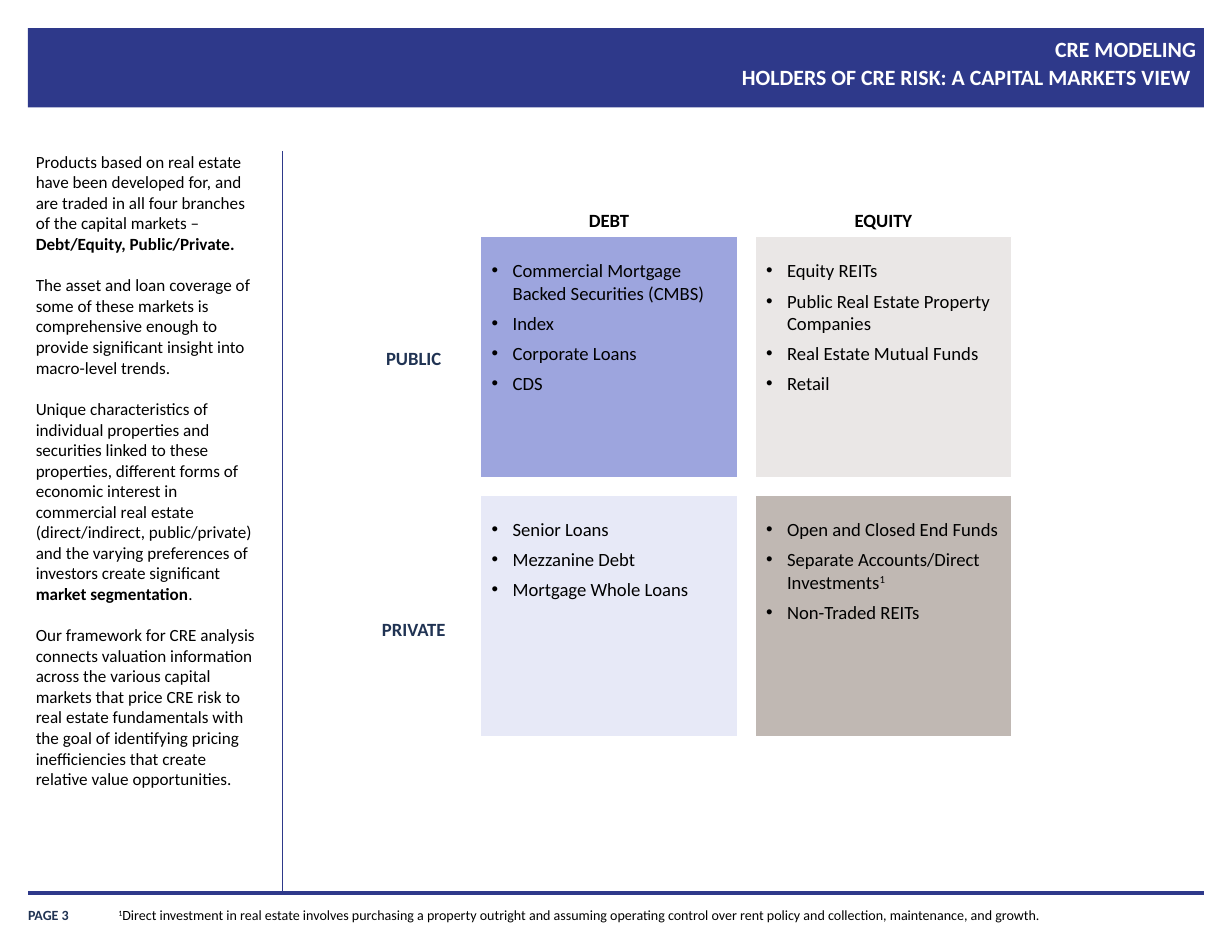
from lxml import etree
from pptx import Presentation
from pptx.dml.color import RGBColor
from pptx.enum import shapes, text
from pptx.oxml.ns import qn
from pptx.util import Pt

C = {"navy": "2E398A", "ink": "203353", "black": "000000", "white": "FFFFFF",
     "blue": "9DA5DE", "pale": "E7E9F7", "sand": "EAE7E6", "taupe": "C0B8B3"}
AL = text.PP_ALIGN
INSET = (7.2, 3.6, 7.2, 3.6)

prs = Presentation()
prs.slide_width, prs.slide_height = Pt(792), Pt(612)
s = prs.slides.add_slide(prs.slide_layouts[6])


def add_text(box, paras, size=12, color="black", bold=False, inset=INSET,
             wrap=True, anchor=text.MSO_ANCHOR.TOP, bullet=False, **fmt):
    """Each paragraph is a list of (text, style); style is "", "bold" or "super"."""
    tf = s.shapes.add_textbox(*map(Pt, box)).text_frame
    tf.word_wrap, tf.vertical_anchor = wrap, anchor
    for side, value in zip(("left", "top", "right", "bottom"), inset):
        setattr(tf, "margin_" + side, Pt(value))
    for i, runs in enumerate(paras):
        p = tf.paragraphs[0] if i == 0 else tf.add_paragraph()
        for name, value in fmt.items():
            setattr(p, name, value)
        if bullet:
            pPr = p._p.get_or_add_pPr()
            pPr.set("marL", str(Pt(13.5)))
            pPr.set("indent", str(Pt(-13.5)))
            etree.SubElement(pPr, qn("a:buFont")).set("typeface", "Arial")
            etree.SubElement(pPr, qn("a:buChar")).set("char", "•")
        for content, style in runs:
            for n, line in enumerate(content.split("\n")):
                if n:
                    p.add_line_break()
                r = p.add_run()
                r.text = line
                font = {"name": "Calibri", "size": Pt(size), "bold": bold or style == "bold"}
                for name, value in font.items():
                    setattr(r.font, name, value)
                r.font.color.rgb = RGBColor.from_string(C[color])
                if style == "super":
                    r._r.get_or_add_rPr().set("baseline", "30000")


def add_rect(box, fill, line=None):
    sp = s.shapes.add_shape(shapes.MSO_SHAPE.RECTANGLE, *map(Pt, box))
    sp.shadow.inherit = False
    sp.fill.solid()
    sp.fill.fore_color.rgb = RGBColor.from_string(C[fill])
    if line:
        sp.line.color.rgb = RGBColor.from_string(C[line])
        sp.line.width = Pt(1)
    else:
        sp.line.fill.background()


# Header band, footer rule and sidebar divider
add_rect((18, 18, 756, 51), "navy")
for ends, width in (((18, 574, 774, 574), 2.25), ((181.5, 97, 181.5, 574), 0.5)):
    rule = s.shapes.add_connector(shapes.MSO_CONNECTOR.STRAIGHT, *map(Pt, ends))
    rule.line.color.rgb = RGBColor.from_string(C["navy"])
    rule.line.width = Pt(width)
    etree.SubElement(rule._element.spPr, qn("a:effectLst"))

add_text((228, 21, 541, 48),
         [[("CRE MODELING\nHOLDERS OF CRE RISK: A CAPITAL MARKETS VIEW ", "")]],
         size=14, color="white", bold=True, inset=(0, 0, 0, 0),
         alignment=AL.RIGHT, line_spacing=1.1)

# Sidebar
sidebar = [
    [("Products based on real estate have been developed for, and are traded in all four "
      "branches of the capital markets – ", ""), ("Debt/Equity, Public/Private.", "bold")],
    [("The asset and loan coverage of some of these markets is comprehensive enough to "
      "provide significant insight into macro-level trends.", "")],
    [("Unique characteristics of individual properties and securities linked to these "
      "properties, different forms of economic interest in commercial real estate "
      "(direct/indirect, public/private) and the varying preferences of investors create "
      "significant ", ""), ("market segmentation", "bold"), (".", "")],
    [("Our framework for CRE analysis connects valuation information across the various "
      "capital markets that price CRE risk to  real estate fundamentals with the goal of "
      "identifying pricing inefficiencies that create relative value opportunities.", "")],
]
add_text((23, 97.2, 144.7, 412.6), sidebar, size=11, inset=(0, 0, 0, 0),
         space_after=Pt(13.4))

# Market matrix: rows PUBLIC / PRIVATE, columns DEBT / EQUITY
LEFT, TOP, CELL_W, CELL_H, STEP_X, STEP_Y = 309, 152, 165, 155.5, 176.4, 166.3
rows = [
    ("PUBLIC", 220.3, [
        ("blue", ["Commercial Mortgage Backed Securities (CMBS)", "Index",
                  "Corporate Loans", "CDS"]),
        ("sand", ["Equity REITs", "Public Real Estate Property Companies",
                  "Real Estate Mutual Funds", "Retail"])]),
    ("PRIVATE", 394.5, [
        ("pale", ["Senior Loans", "Mezzanine Debt", "Mortgage Whole Loans"]),
        ("taupe", ["Open and Closed End Funds", "Separate Accounts/Direct Investments^1",
                   "Non-Traded REITs"])]),
]
for col, heading in enumerate(("DEBT", "EQUITY")):
    add_text((LEFT + col * STEP_X, 131, CELL_W, 21.6), [[(heading, "")]],
             bold=True, alignment=AL.CENTER)
for row, (label, label_top, cells) in enumerate(rows):
    add_text((237, label_top, 58, 20), [[(label, "")]], color="ink", bold=True,
             inset=(3, 3, 3, 3), alignment=AL.CENTER, space_after=Pt(3))
    for col, (fill, items) in enumerate(cells):
        x, y = LEFT + col * STEP_X, TOP + row * STEP_Y
        add_rect((x, y, CELL_W, CELL_H), fill, "white")
        paras = [list(zip(item.split("^"), ("", "super"))) for item in items]
        add_text((x, y + 11.2, CELL_W, 114), paras, bullet=True, space_after=Pt(5))

# Footer
add_text((18, 576.7, 65.5, 16.6), [[("PAGE 3", "")]], size=9, color="ink", bold=True,
         inset=(0, 0, 0, 0), anchor=text.MSO_ANCHOR.BOTTOM)
add_text((69, 579, 618, 18),
         [[("1", "super"),
           ("Direct investment in real estate involves purchasing a property outright and "
            "assuming operating control over rent policy and collection, maintenance, "
            "and growth.", "")]], size=9, wrap=False)

prs.save("out.pptx")
